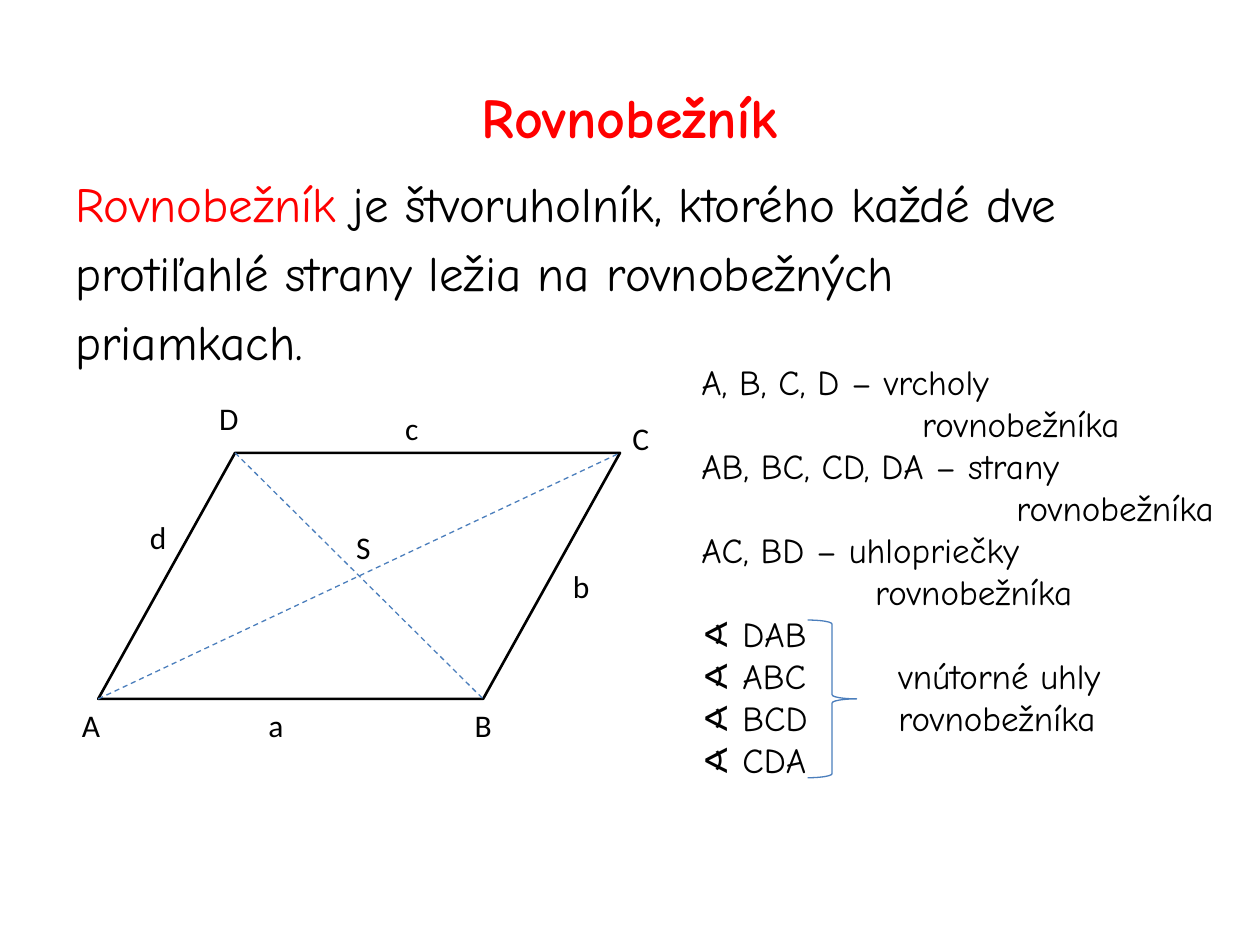
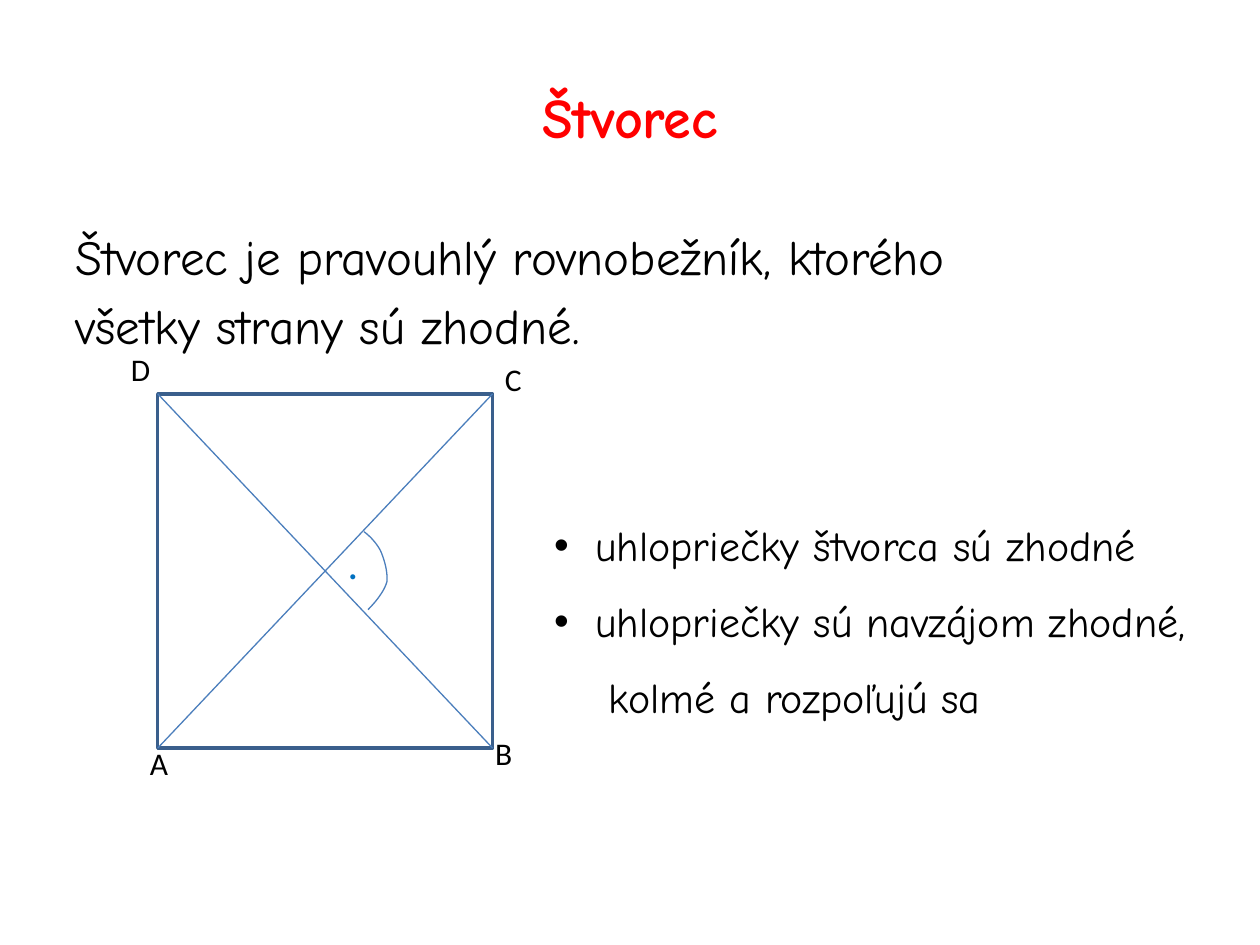
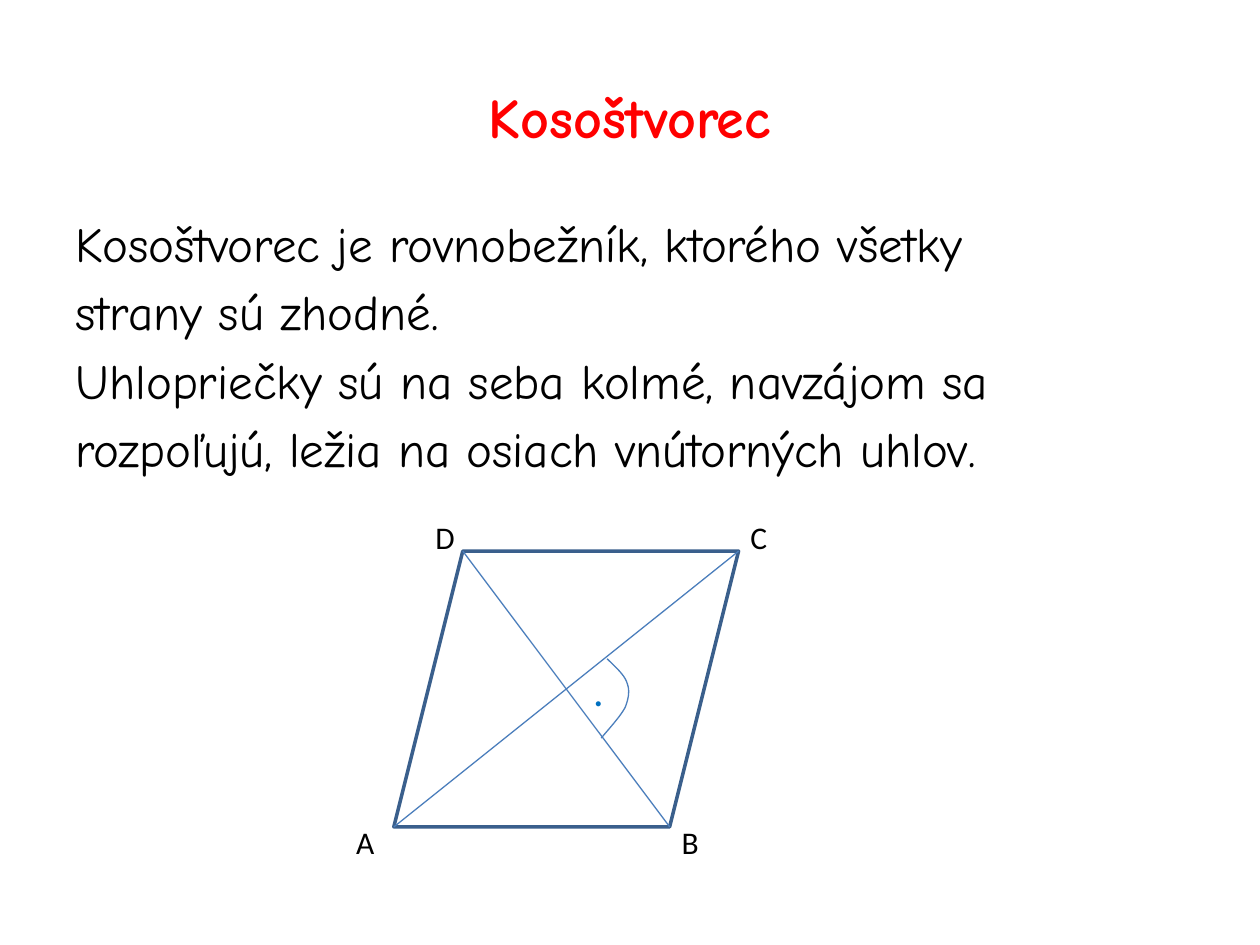
"""Build three geometry slides about parallelograms, squares and rhombuses."""

from dataclasses import dataclass
from typing import Optional

from lxml.etree import SubElement
from pptx import Presentation
from pptx.dml.color import RGBColor
from pptx.enum.dml import MSO_LINE
from pptx.enum.shapes import MSO_CONNECTOR, MSO_SHAPE
from pptx.enum.text import MSO_ANCHOR, MSO_AUTO_SIZE, PP_ALIGN
from pptx.oxml.ns import qn
from pptx.util import Cm, Pt

COLORS = {
    "accent": "FF0000",
    "text": "000000",
    "thin": "4B7EBC",
    "edge": "3A5F8C",
    "dot": "0070C0",
}
HAND_FONT = "Comic Neue"
LABEL_FONT = "Calibri"

Point = tuple[float, float]
Box = tuple[float, float, float, float]


@dataclass(frozen=True)
class TextStyle:
    size: float
    font: str = HAND_FONT
    color: str = "text"
    bold: bool = False
    align: Optional[PP_ALIGN] = None
    anchor: MSO_ANCHOR = MSO_ANCHOR.TOP
    gap: float = 0
    line_spacing: Optional[float] = None
    wrap: bool = True
    grow: bool = False


@dataclass(frozen=True)
class Line:
    text: str
    lead: str = ""
    margin: float = 0
    bullet: bool = False
    tab: float = 0


@dataclass(frozen=True)
class Label:
    text: str
    left: float
    top: float
    width: float = 0.86


@dataclass(frozen=True)
class Figure:
    left: float
    top: float
    width: float
    height: float
    skew: float = 0
    color: str = "edge"
    weight: float = 2
    dashed: bool = False

    def diagonals(self) -> list[tuple[Point, Point]]:
        right, bottom = self.left + self.width, self.top + self.height
        return [
            ((self.left, bottom), (right, self.top)),
            ((self.left + self.skew, self.top), (right - self.skew, bottom)),
        ]


@dataclass(frozen=True)
class Lesson:
    title: str
    body_top: float
    body: list[Line]
    figure: Figure
    labels: list[Label]
    facts_box: Optional[Box] = None
    facts: tuple[Line, ...] = ()
    facts_style: Optional[TextStyle] = None
    brace: Optional[Box] = None
    arc: tuple[Point, ...] = ()
    dot: Optional[Point] = None


TITLE = TextStyle(32, color="accent", bold=True, align=PP_ALIGN.CENTER, anchor=MSO_ANCHOR.MIDDLE)
BODY = TextStyle(28, gap=5.6)
LIST = TextStyle(20, grow=True)
BULLETS = TextStyle(24, line_spacing=1.5, grow=True)
LABEL = TextStyle(18, LABEL_FONT, wrap=False, grow=True)
DOT = TextStyle(24, LABEL_FONT, "dot", wrap=False, grow=True)

LESSONS = [
    Lesson(
        "Rovnobežník",
        3.38,
        [
            Line(" je štvoruholník, ktorého každé dve", lead="Rovnobežník"),
            Line("protiľahlé strany ležia na rovnobežných"),
            Line("priamkach."),
        ],
        Figure(1.98, 9.13, 10.52, 4.96, 2.76, "text", 1.5, True),
        [
            Label("A", 1.4, 14.1, 0.89),
            Label("B", 9.32, 14.1),
            Label("C", 12.5, 8.33),
            Label("D", 4.17, 7.92, 0.91),
            Label("S", 6.93, 10.52, 0.81),
            Label("a", 5.16, 14.1, 0.81),
            Label("b", 11.3, 11.3),
            Label("c", 7.92, 8.13, 0.79),
            Label("d", 2.77, 10.31),
        ],
        facts_box=(13.89, 7.14, 11.23, 10.52),
        facts=(
            Line("A, B, C, D – vrcholy"),
            Line("rovnobežníka", margin=4.45),
            Line("AB, BC, CD, DA – strany"),
            Line("rovnobežníka", margin=6.35),
            Line("AC, BD – uhlopriečky"),
            Line("rovnobežníka", margin=3.5),
            Line("∢ DAB"),
            Line("∢ ABC\tvnútorné uhly", tab=3.97),
            Line("∢ BCD\trovnobežníka", tab=3.97),
            Line("∢ CDA"),
        ),
        facts_style=LIST,
        brace=(16.28, 12.5, 0.99, 3.18),
    ),
    Lesson(
        "Štvorec",
        4.45,
        [
            Line("Štvorec je pravouhlý rovnobežník, ktorého"),
            Line("všetky strany sú zhodné."),
        ],
        Figure(3.18, 7.94, 6.75, 7.14),
        [
            Label("A", 2.77, 14.88, 0.89),
            Label("B", 9.73, 14.68),
            Label("C", 9.93, 7.14),
            Label("D", 2.39, 6.93, 0.91),
        ],
        facts_box=(10.92, 9.85, 14.27, 4.9),
        facts=(
            Line("uhlopriečky štvorca sú zhodné", margin=0.83, bullet=True),
            Line("uhlopriečky sú navzájom zhodné,", margin=0.83, bullet=True),
            Line("kolmé a rozpoľujú sa", margin=1.1),
        ),
        facts_style=BULLETS,
        arc=(
            (7.34, 10.72), (7.47, 10.82), (7.59, 10.95), (7.67, 11.1), (7.75, 11.28),
            (7.82, 11.53), (7.8, 11.73), (7.75, 11.91), (7.59, 12.12), (7.42, 12.29),
        ),
        dot=(6.76, 10.72),
    ),
    Lesson(
        "Kosoštvorec",
        4.17,
        [
            Line("Kosoštvorec je rovnobežník, ktorého všetky"),
            Line("strany sú zhodné."),
            Line("Uhlopriečky sú na seba kolmé, navzájom sa"),
            Line("rozpoľujú, ležia na osiach vnútorných uhlov."),
        ],
        Figure(7.94, 11.11, 6.95, 5.56, 1.39),
        [
            Label("A", 6.93, 16.46, 0.89),
            Label("B", 13.49, 16.46),
            Label("C", 14.88, 10.31),
            Label("D", 8.53, 10.31, 0.91),
        ],
        arc=(
            (12.24, 13.28), (12.42, 13.46), (12.6, 13.61), (12.65, 13.79), (12.7, 13.94),
            (12.67, 14.1), (12.6, 14.27), (12.5, 14.45), (12.29, 14.68), (12.12, 14.88),
        ),
        dot=(11.71, 13.28),
    ),
]


def rgb(name: str) -> RGBColor:
    return RGBColor.from_string(COLORS[name])


def fill_paragraph(paragraph, line: Line, style: TextStyle, first: bool) -> None:
    paragraph.alignment = style.align
    paragraph.line_spacing = style.line_spacing
    if style.gap and not first:
        paragraph.space_before = Pt(style.gap)
    properties = paragraph._p.get_or_add_pPr()
    if line.margin:
        properties.set("marL", str(Cm(line.margin)))
    if line.bullet:
        properties.set("indent", str(-Cm(line.margin)))
        SubElement(properties, qn("a:buFont"), typeface="Arial")
        SubElement(properties, qn("a:buChar"), char="•")
    if line.tab:
        tabs = SubElement(properties, qn("a:tabLst"))
        SubElement(tabs, qn("a:tab"), pos=str(Cm(line.tab)), algn="l")
    font = paragraph.font
    font.name, font.size, font.bold = style.font, Pt(style.size), style.bold
    font.color.rgb = rgb(style.color)
    if line.lead:
        lead = paragraph.add_run()
        lead.text = line.lead
        lead.font.color.rgb = rgb("accent")
    paragraph.add_run().text = line.text


def add_text(slide, box: Box, lines, style: TextStyle) -> None:
    frame = slide.shapes.add_textbox(*map(Cm, box)).text_frame
    frame.word_wrap = style.wrap
    frame.vertical_anchor = style.anchor
    frame.auto_size = MSO_AUTO_SIZE.SHAPE_TO_FIT_TEXT if style.grow else MSO_AUTO_SIZE.NONE
    for index, line in enumerate(lines):
        paragraph = frame.add_paragraph() if index else frame.paragraphs[0]
        fill_paragraph(paragraph, line, style, index == 0)


def outline(shape, color: str, weight: float) -> None:
    shape.shadow.inherit = False
    shape.fill.background()
    shape.line.color.rgb = rgb(color)
    shape.line.width = Pt(weight)


def add_figure(slide, figure: Figure) -> None:
    kind = MSO_SHAPE.PARALLELOGRAM if figure.skew else MSO_SHAPE.RECTANGLE
    box = (figure.left, figure.top, figure.width, figure.height)
    shape = slide.shapes.add_shape(kind, *map(Cm, box))
    if figure.skew:
        shape.adjustments[0] = figure.skew / min(figure.width, figure.height)
    outline(shape, figure.color, figure.weight)
    for start, end in figure.diagonals():
        diagonal = slide.shapes.add_connector(MSO_CONNECTOR.STRAIGHT, *map(Cm, start + end))
        diagonal.line.color.rgb = rgb("thin")
        diagonal.line.width = Pt(0.75)
        if figure.dashed:
            diagonal.line.dash_style = MSO_LINE.DASH
        SubElement(diagonal._element.spPr, qn("a:effectLst"))


def curve_points(controls: tuple[Point, ...], steps: int = 10) -> list[Point]:
    points = [controls[0]]
    for start in range(0, len(controls) - 1, 3):
        segment = controls[start:start + 4]
        for step in range(1, steps + 1):
            t = step / steps
            weights = ((1 - t) ** 3, 3 * t * (1 - t) ** 2, 3 * t * t * (1 - t), t ** 3)
            points.append(tuple(
                sum(weight * point[axis] for weight, point in zip(weights, segment))
                for axis in (0, 1)
            ))
    return points


def add_arc(slide, controls: tuple[Point, ...]) -> None:
    start, *rest = [(Cm(x), Cm(y)) for x, y in curve_points(controls)]
    builder = slide.shapes.build_freeform(*start)
    builder.add_line_segments(rest, close=False)
    outline(builder.convert_to_shape(), "thin", 0.75)


def add_lesson(presentation, lesson: Lesson) -> None:
    slide = presentation.slides.add_slide(presentation.slide_layouts[6])
    add_text(slide, (1.27, 0.76, 22.86, 3.18), [Line(lesson.title)], TITLE)
    add_text(slide, (1.27, lesson.body_top, 22.86, 12.6), lesson.body, BODY)
    add_figure(slide, lesson.figure)
    for label in lesson.labels:
        add_text(slide, (label.left, label.top, label.width, 1.02), [Line(label.text)], LABEL)
    if lesson.facts:
        add_text(slide, lesson.facts_box, lesson.facts, lesson.facts_style)
    if lesson.brace:
        brace = slide.shapes.add_shape(MSO_SHAPE.RIGHT_BRACE, *map(Cm, lesson.brace))
        outline(brace, "thin", 0.75)
    if lesson.arc:
        add_arc(slide, lesson.arc)
        add_text(slide, (*lesson.dot, 0.74, 1.27), [Line(".")], DOT)


def main() -> None:
    presentation = Presentation()
    presentation.slide_width, presentation.slide_height = Cm(25.4), Cm(19.05)
    for lesson in LESSONS:
        add_lesson(presentation, lesson)
    presentation.save("out.pptx")


if __name__ == "__main__":
    main()
